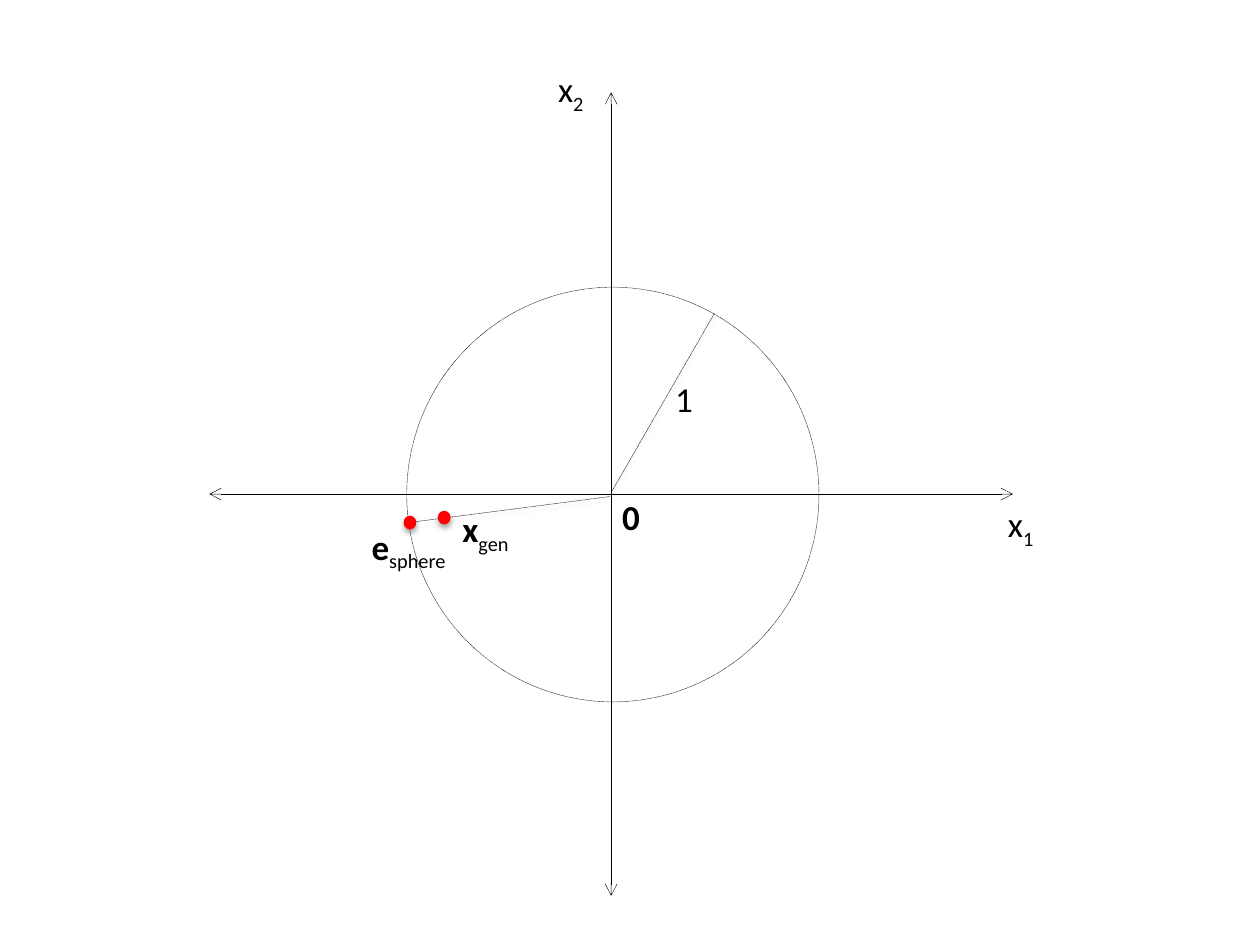
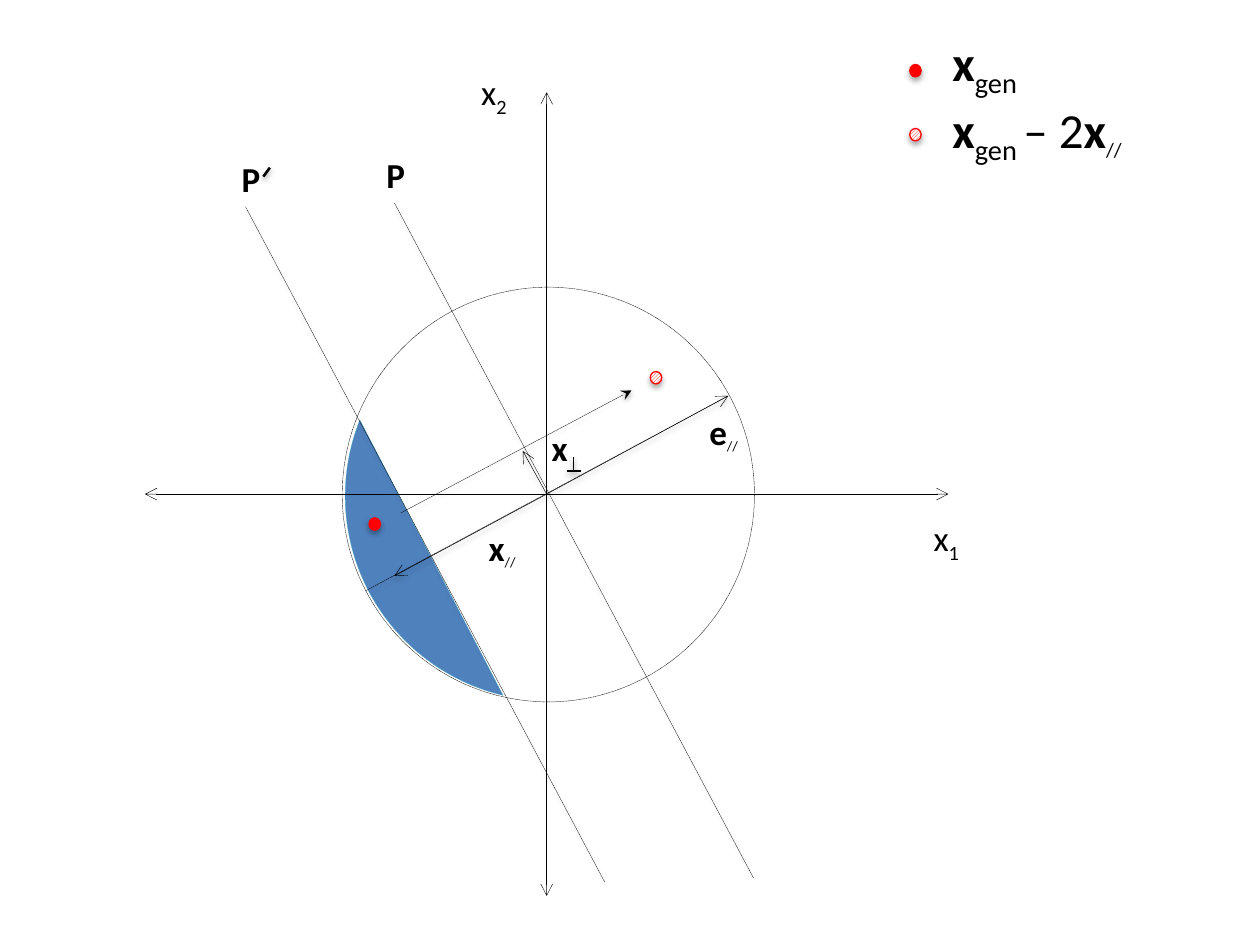
from dataclasses import dataclass
from typing import NamedTuple, Optional

from lxml import etree
from pptx import Presentation
from pptx.dml.color import RGBColor
from pptx.enum.dml import MSO_LINE, MSO_PATTERN
from pptx.enum.shapes import MSO_CONNECTOR, MSO_SHAPE
from pptx.enum.text import MSO_AUTO_SIZE
from pptx.oxml.ns import qn
from pptx.util import Cm, Pt

DOTTED = MSO_LINE.ROUND_DOT
HATCH = MSO_PATTERN.DARK_UPWARD_DIAGONAL
STRAIGHT = MSO_CONNECTOR.STRAIGHT
ELLIPSE, CHORD = MSO_SHAPE.OVAL, MSO_SHAPE.CHORD
GROW = MSO_AUTO_SIZE.SHAPE_TO_FIT_TEXT

COLORS = {
    "ink": "000000",
    "paper": "FFFFFF",
    "point": "FF0000",
    "region": "4F81BD",
    "region_edge": "46AAC5",
}
AXIS_Y = 9.96
AXIS_HALF = 8.1
CIRCLE_SIZE = (8.31, 8.36)
CIRCLE_OFFSET = (-4.12, -4.17)
POINT_SIZE = (0.23, 0.25)
LABEL_HEIGHT = 1.12


class Shadow(NamedTuple):
    opacity: int
    distance: int


LINE_SHADOW = Shadow(38000, 20000)
POINT_SHADOW = Shadow(35000, 23000)


class Fragment(NamedTuple):
    text: str
    bold: bool = False
    subscript: bool = False
    size: int = 20


@dataclass
class Label:
    left: float
    top: float
    width: float
    fragments: list[Fragment]
    height: float = LABEL_HEIGHT
    wrap: bool = True


@dataclass
class Stroke:
    start: tuple[float, float]
    end: tuple[float, float]
    dotted: bool = True
    width: float = 0.25
    head: Optional[str] = None
    tail: Optional[str] = None
    shadow: Optional[Shadow] = LINE_SHADOW


@dataclass
class Point:
    left: float
    top: float
    hatched: bool = False


def rgb(name: str) -> RGBColor:
    return RGBColor.from_string(COLORS[name])


def apply_shadow(shape, shadow: Optional[Shadow]) -> None:
    effects = etree.SubElement(shape._element.spPr, qn("a:effectLst"))
    if shadow is None:
        return
    outer = etree.SubElement(
        effects, qn("a:outerShdw"), blurRad="40000", dist=str(shadow.distance),
        dir="5400000", rotWithShape="0")
    color = etree.SubElement(outer, qn("a:srgbClr"), val=COLORS["ink"])
    etree.SubElement(color, qn("a:alpha"), val=str(shadow.opacity))


def format_line(line, color: str, width: float, dotted: bool) -> None:
    line.color.rgb = rgb(color)
    line.width = Pt(width)
    if dotted:
        line.dash_style = DOTTED


def draw_stroke(slide, stroke: Stroke) -> None:
    ends = (Cm(value) for value in (*stroke.start, *stroke.end))
    connector = slide.shapes.add_connector(STRAIGHT, *ends)
    format_line(connector.line, "ink", stroke.width, stroke.dotted)
    outline = connector.line._get_or_add_ln()
    for tag, arrow in (("a:headEnd", stroke.head), ("a:tailEnd", stroke.tail)):
        if arrow:
            etree.SubElement(outline, qn(tag), type=arrow)
    apply_shadow(connector, stroke.shadow)


def draw_outline(slide, preset, box: tuple[float, ...], fill: str, edge: str):
    shape = slide.shapes.add_shape(preset, *(Cm(value) for value in box))
    shape.fill.solid()
    shape.fill.fore_color.rgb = rgb(fill)
    format_line(shape.line, edge, 0.25, True)
    apply_shadow(shape, None)
    return shape


def draw_point(slide, point: Point) -> None:
    box = (point.left, point.top, *POINT_SIZE)
    marker = slide.shapes.add_shape(ELLIPSE, *(Cm(value) for value in box))
    if point.hatched:
        marker.fill.patterned()
        marker.fill.pattern = HATCH
        marker.fill.back_color.rgb = rgb("paper")
    else:
        marker.fill.solid()
    marker.fill.fore_color.rgb = rgb("point")
    format_line(marker.line, "point", 0.75, False)
    apply_shadow(marker, POINT_SHADOW)


def draw_label(slide, label: Label) -> None:
    box = (label.left, label.top, label.width, label.height)
    frame = slide.shapes.add_textbox(*(Cm(value) for value in box)).text_frame
    frame.word_wrap = label.wrap
    frame.auto_size = GROW
    for fragment in label.fragments:
        run = frame.paragraphs[0].add_run()
        run.text = fragment.text
        font_format = {"name": "Calibri", "size": Pt(fragment.size),
                       "bold": fragment.bold}
        for attribute, value in font_format.items():
            setattr(run.font, attribute, value)
        run.font.color.rgb = rgb("ink")
        if fragment.subscript:
            run._r.get_or_add_rPr().set("baseline", "-25000")


def draw_circle(slide, origin_x: float) -> None:
    dx, dy = CIRCLE_OFFSET
    box = (origin_x + dx, AXIS_Y + dy, *CIRCLE_SIZE)
    draw_outline(slide, ELLIPSE, box, "paper", "ink")


def draw_axis(slide, origin_x: float, vertical: bool) -> None:
    dx, dy = (0, AXIS_HALF) if vertical else (AXIS_HALF, 0)
    draw_stroke(slide, Stroke(
        (origin_x - dx, AXIS_Y - dy), (origin_x + dx, AXIS_Y + dy),
        head="arrow", tail="arrow", shadow=None))


DRAW = {Stroke: draw_stroke, Point: draw_point, Label: draw_label}


def draw_all(slide, elements: list) -> None:
    for element in elements:
        DRAW[type(element)](slide, element)


def axis_name(index: str) -> list[Fragment]:
    return [Fragment("x"), Fragment(index, subscript=True)]


def vector(name: str, index: str, size: int = 20,
           index_size: int = 20) -> list[Fragment]:
    return [Fragment(name, True, size=size),
            Fragment(index, subscript=True, size=index_size)]


def bold(text: str) -> list[Fragment]:
    return [Fragment(text, True)]


def build_sphere_slide(slide) -> None:
    origin_x = 12.32
    draw_circle(slide, origin_x)
    draw_stroke(slide, Stroke((12.29, 10.01), (8.2, 10.54)))
    for vertical in (False, True):
        draw_axis(slide, origin_x, vertical)
    draw_all(slide, [
        Label(12.29, 9.86, 1.32, bold("0")),
        Point(8.84, 10.31),
        Label(20.07, 10.01, 1.19, axis_name("1")),
        Label(11.0, 1.24, 1.57, axis_name("2")),
        Label(9.07, 10.11, 1.93, vector("x", "gen")),
        Point(8.15, 10.41),
        Label(7.24, 10.46, 2.31, vector("e", "sphere")),
        Stroke((14.4, 6.32), (origin_x, 9.93)),
        Label(13.36, 7.49, 1.32, [Fragment("1")]),
    ])


def build_reflection_slide(slide) -> None:
    origin_x = 11.02
    origin = (origin_x, AXIS_Y)
    sphere_edge = (14.68, 7.98)
    reflected = [
        *vector("x", "gen ", 28, 28),
        Fragment("– 2", size=28),
        *vector("x", "//", 28, 20),
    ]

    draw_circle(slide, origin_x)
    draw_axis(slide, origin_x, True)
    draw_label(slide, Label(14.05, 8.15, 2.21, vector("e", "//", 20, 14)))
    cap = draw_outline(slide, CHORD, (6.96, 5.87, 8.28, 8.26),
                       "region", "region_edge")
    cap.adjustments[0] = 62.06
    cap.adjustments[1] = 121.03
    draw_all(slide, [
        Stroke((7.37, 11.91), sphere_edge),
        Stroke(origin, sphere_edge, dotted=False, tail="arrow"),
        Point(7.44, 10.44),
        Point(13.11, 7.49, hatched=True),
        Stroke((8.08, 10.34), (12.73, 7.87), tail="stealth"),
        Label(9.45, 1.3, 1.57, axis_name("2")),
        Label(18.57, 10.29, 1.57, axis_name("1")),
        Label(18.95, 0.53, 1.96, vector("x", "gen", 28, 28), 2.64, False),
        Point(18.34, 2.59, hatched=True),
        Point(18.34, 1.3),
        Label(18.95, 1.88, 4.24, reflected, 2.64, False),
        Stroke(origin, (7.95, 11.61), dotted=False, tail="arrow"),
        Label(9.6, 10.49, 2.21, vector("x", "//", 20, 14)),
        Stroke(origin, (10.54, 9.09), dotted=False, tail="arrow"),
        Label(10.87, 8.48, 0.74, bold("x")),
        Stroke((11.43, 9.5), (11.71, 9.5), dotted=False, width=1),
        Stroke((11.56, 9.5), (11.56, 9.22), dotted=False, width=1),
    ])
    for left, top in ((4.95, 4.17), (7.95, 4.09)):
        draw_stroke(slide, Stroke((left, top), (left + 7.24, top + 13.61)))
    draw_all(slide, [
        Label(7.54, 2.97, 1.32, bold("P")),
        Label(4.62, 3.05, 1.32, bold("P")),
        Stroke((5.44, 3.38), (5.31, 3.56), dotted=False, width=1.5),
    ])
    draw_axis(slide, origin_x, False)


def main() -> None:
    presentation = Presentation()
    presentation.slide_width = Cm(25.4)
    presentation.slide_height = Cm(19.05)
    blank = presentation.slide_layouts[6]
    for build in (build_sphere_slide, build_reflection_slide):
        build(presentation.slides.add_slide(blank))
    presentation.save("out.pptx")


main()
